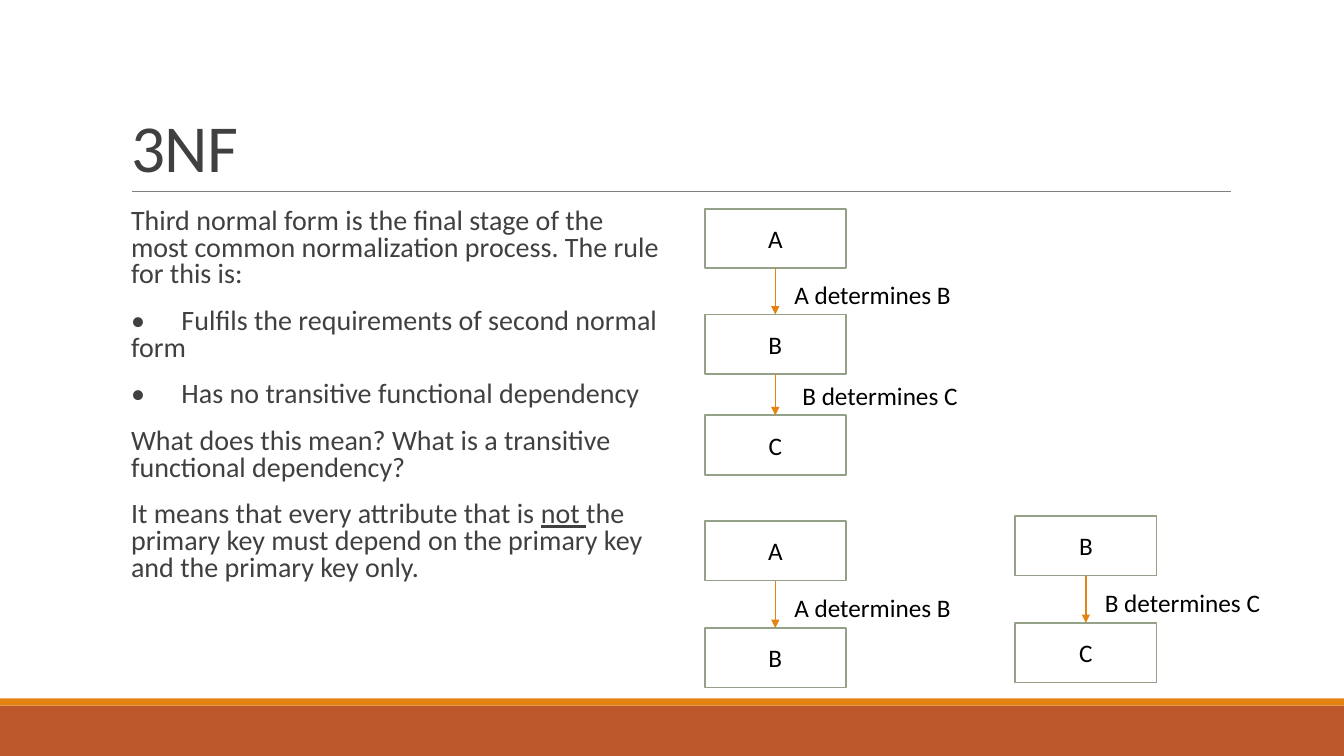
from dataclasses import dataclass

from lxml.etree import SubElement
from pptx import Presentation
from pptx.dml.color import RGBColor
from pptx.enum.shapes import MSO_CONNECTOR, MSO_SHAPE
from pptx.enum.text import MSO_ANCHOR, MSO_AUTO_SIZE, PP_ALIGN
from pptx.oxml.ns import qn
from pptx.util import Inches, Pt

TITLE = "3NF"
BODY = [
    ["Third normal form is the final stage of the most common normalization process. The rule for this is:"],
    ["•\tFulfils the requirements of second normal form"],
    ["•\tHas no transitive functional dependency"],
    ["What does this mean? What is a transitive functional dependency?"],
    ["It means that every attribute that is ", "not ",
     "the primary key must depend on the primary key and the primary key only."],
]
UNDERLINED = "not "

# Each chain: left edge, then (letter, top) of every box
CHAINS = [
    (6.99, [("A", 2.07), ("B", 3.12), ("C", 4.12)]),
    (6.99, [("A", 5.17), ("B", 6.23)]),
    (10.07, [("B", 5.12), ("C", 6.18)]),
]
BOX_W, BOX_H = 1.4, 0.59
LABEL_W, LABEL_H = 2.15, 0.4


@dataclass(frozen=True)
class Theme:
    font: str = "Calibri"
    ink: str = "404040"
    black: str = "000000"
    white: str = "FFFFFF"
    rule: str = "808080"
    edge: str = "94A088"
    accent: str = "E48312"
    band: str = "BD582C"
    title: int = 48
    body: int = 20
    label: int = 18


THEME = Theme()


def color(code):
    return RGBColor.from_string(code)


def place(shape, left, top, width, height):
    shape.left, shape.top = Inches(left), Inches(top)
    shape.width, shape.height = Inches(width), Inches(height)


def style(para, size, code):
    para.font.name = THEME.font
    para.font.size = Pt(size)
    para.font.color.rgb = color(code)


def add_rect(slide, left, top, width, height, fill, edge=None):
    rect = slide.shapes.add_shape(
        MSO_SHAPE.RECTANGLE, Inches(left), Inches(top), Inches(width), Inches(height))
    rect.shadow.inherit = False
    rect.fill.solid()
    rect.fill.fore_color.rgb = color(fill)
    if edge:
        rect.line.color.rgb = color(edge)
        rect.line.width = Pt(1.25)
    else:
        rect.line.fill.background()
    return rect


def add_line(slide, start, end, code, width, arrow=False):
    line = slide.shapes.add_connector(
        MSO_CONNECTOR.STRAIGHT, *(Inches(value) for value in start + end))
    line.line.color.rgb = color(code)
    line.line.width = Pt(width)
    if arrow:
        SubElement(line.line._get_or_add_ln(), qn("a:tailEnd"), type="triangle")
    SubElement(line._element.spPr, qn("a:effectLst"))


def add_box(slide, letter, left, top):
    box = add_rect(slide, left, top, BOX_W, BOX_H, THEME.white, THEME.edge)
    frame = box.text_frame
    frame.vertical_anchor = MSO_ANCHOR.MIDDLE
    frame.text = letter
    para = frame.paragraphs[0]
    para.alignment = PP_ALIGN.CENTER
    style(para, THEME.label, THEME.black)


def add_label(slide, text, left, top):
    label = slide.shapes.add_textbox(
        Inches(left), Inches(top), Inches(LABEL_W), Inches(LABEL_H))
    frame = label.text_frame
    frame.word_wrap = True
    frame.auto_size = MSO_AUTO_SIZE.SHAPE_TO_FIT_TEXT
    frame.text = text
    style(frame.paragraphs[0], THEME.label, THEME.black)


def add_chain(slide, left, boxes):
    """Draw a column of boxes with a labelled arrow between neighbours."""
    for letter, top in boxes:
        add_box(slide, letter, left, top)
    mid = left + BOX_W / 2
    for step, ((source, top), (target, below)) in enumerate(zip(boxes, boxes[1:])):
        bottom = top + BOX_H
        add_line(slide, (mid, bottom), (mid, below), THEME.accent, 1, arrow=True)
        add_label(slide, f"{source} determines {target}",
                  mid + 0.09 + 0.08 * step, (bottom + below) / 2 - 0.17 - 0.02 * step)


def fill_title(title):
    place(title, 1.2, 0.31, 11, 1.59)
    frame = title.text_frame
    frame.auto_size = MSO_AUTO_SIZE.NONE
    frame.vertical_anchor = MSO_ANCHOR.BOTTOM
    frame.text = TITLE
    para = frame.paragraphs[0]
    para.alignment = PP_ALIGN.LEFT
    para.line_spacing = 0.85
    style(para, THEME.title, THEME.ink)
    para.runs[0].font._element.set("spc", "-50")


def fill_body(body):
    place(body, 1.2, 2.02, 5.4, 4.4)
    frame = body.text_frame
    frame.auto_size = MSO_AUTO_SIZE.NONE
    frame.margin_left = frame.margin_right = 0
    for index, parts in enumerate(BODY):
        para = frame.paragraphs[0] if index == 0 else frame.add_paragraph()
        props = para._p.get_or_add_pPr()
        props.set("marL", str(Inches(0.1)))
        props.set("indent", "0")
        SubElement(props, qn("a:buNone"))
        tabs = SubElement(props, qn("a:tabLst"))
        SubElement(tabs, qn("a:tab"), pos=str(Inches(1)), algn="l")
        para.line_spacing = 0.8
        para.space_before = Pt(12 if index else 0)
        para.space_after = Pt(2)
        style(para, THEME.body, THEME.ink)
        for part in parts:
            run = para.add_run()
            run.text = part
            if part == UNDERLINED:
                run.font.underline = True


def main():
    deck = Presentation()
    deck.slide_width, deck.slide_height = Inches(13.33), Inches(7.5)
    slide = deck.slides.add_slide(deck.slide_layouts[1])
    add_rect(slide, 0, 7, 13.33, 0.5, THEME.band)
    add_rect(slide, 0, 6.93, 13.33, 0.07, THEME.accent)
    add_line(slide, (1.31, 1.9), (12.21, 1.9), THEME.rule, 0.5)
    fill_title(slide.shapes.title)
    fill_body(slide.placeholders[1])
    for left, boxes in CHAINS:
        add_chain(slide, left, boxes)
    deck.save("out.pptx")


if __name__ == "__main__":
    main()
